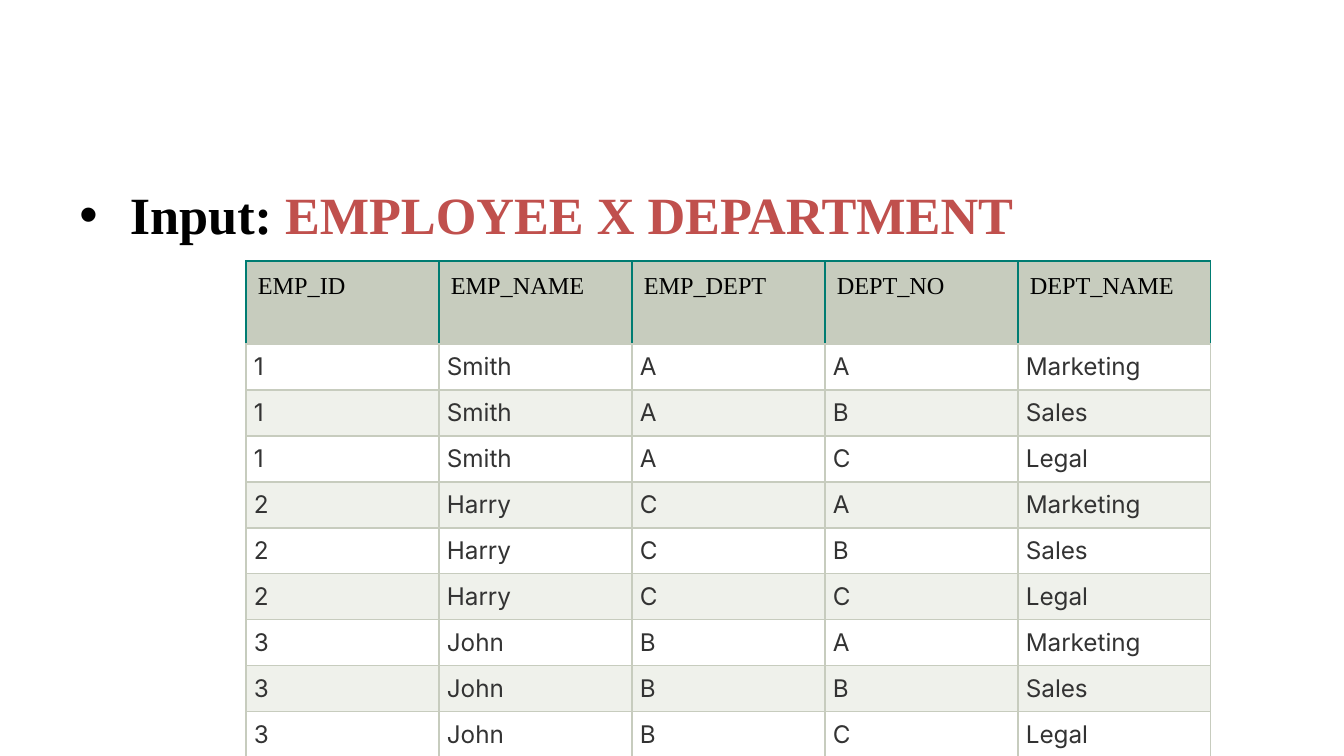
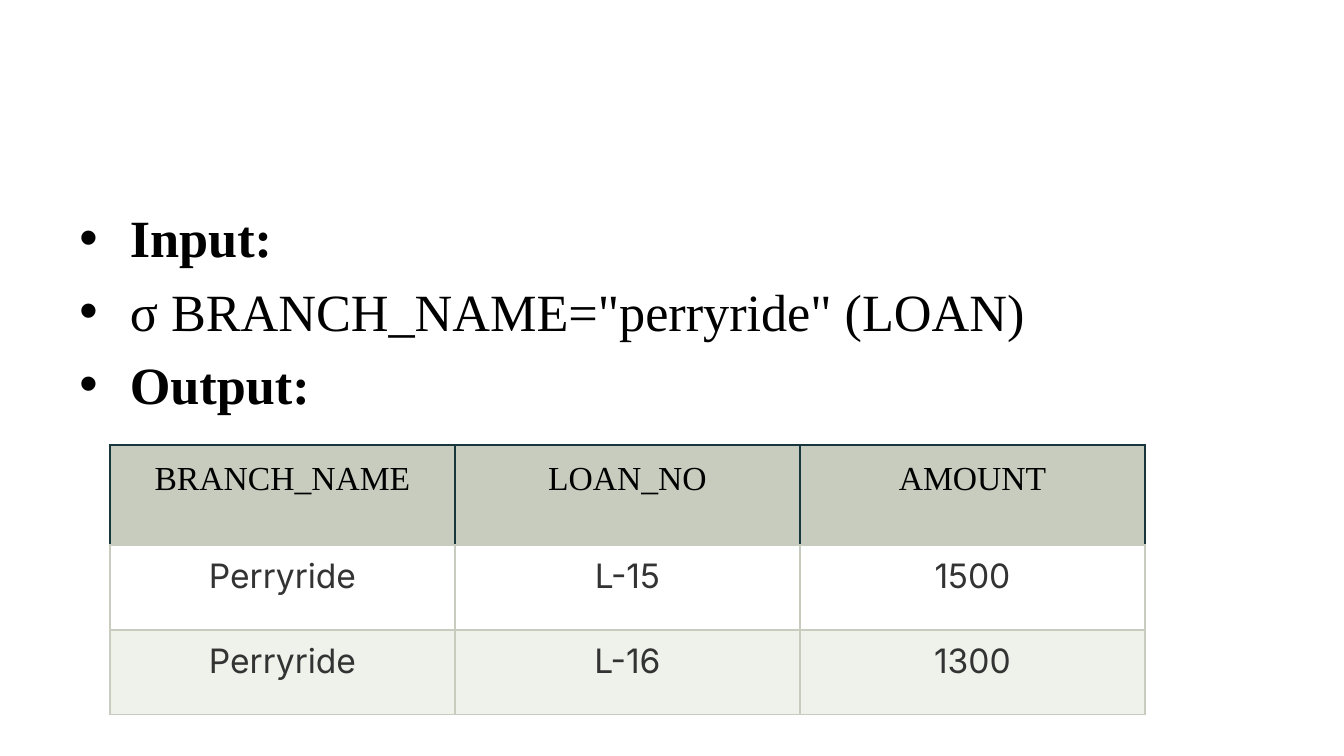
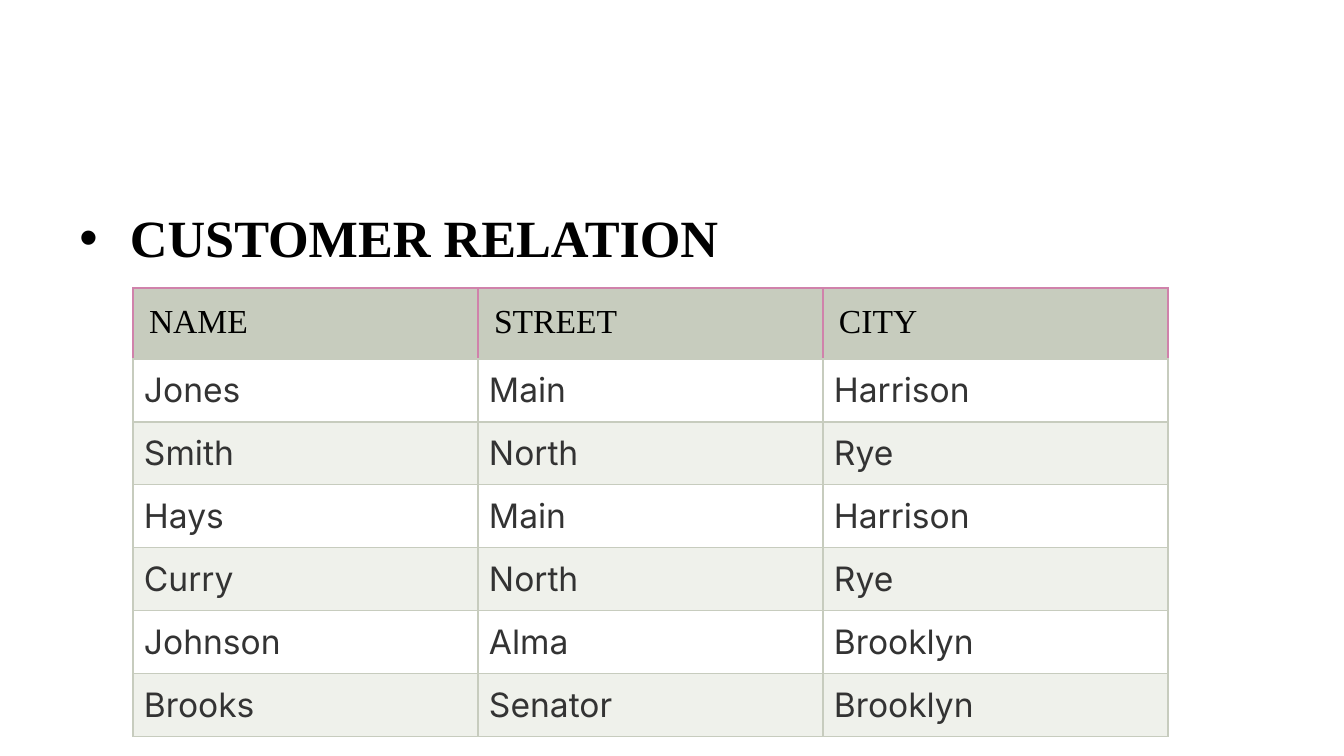
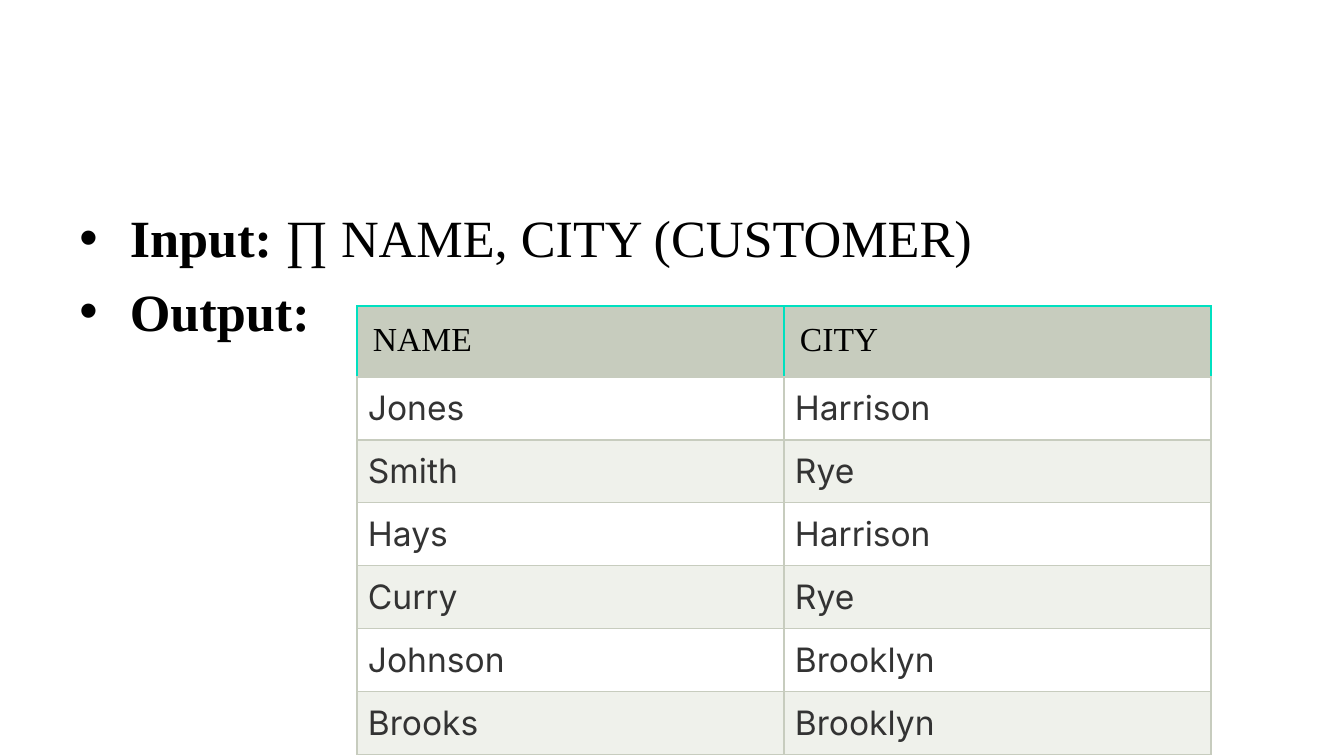
from dataclasses import dataclass

from lxml import etree
from pptx import Presentation
from pptx.dml.color import RGBColor
from pptx.enum.text import MSO_AUTO_SIZE, PP_ALIGN
from pptx.oxml.ns import qn
from pptx.util import Emu, Pt

LEFT, CENTER, JUSTIFY = PP_ALIGN.LEFT, PP_ALIGN.CENTER, PP_ALIGN.JUSTIFY
NO_AUTOFIT = MSO_AUTO_SIZE.NONE


@dataclass(frozen=True)
class Theme:
    serif: str = "Times New Roman"
    sans: str = "Inter"
    black: str = "000000"
    red: str = "C0504D"
    gray: str = "333333"
    sage: str = "C7CCBE"
    bands: tuple = ("FFFFFF", "EFF1EB")
    bullet_size: int = 28
    border: float = 0.75


THEME = Theme()


def px(count):
    """Slide pixels (134.4 to the inch) as EMU."""
    return Emu(round(count * 914400 / 134.4))


def draw_borders(cell, colors):
    """Give the left, right, top and bottom borders their colors."""
    properties = cell._tc.get_or_add_tcPr()
    for side, color in zip("LRTB", colors):
        line = etree.SubElement(properties, qn(f"a:ln{side}"), w=str(Pt(THEME.border)))
        fill = etree.SubElement(line, qn("a:solidFill"))
        etree.SubElement(fill, qn("a:srgbClr"), val=color)


# Bullets are lists of (text, bold, color) spans
SLIDES = [
    {
        "body": (176, 580),
        "bullets": [[("Input: ", True, THEME.black),
                     ("EMPLOYEE X DEPARTMENT", True, THEME.red)]],
        "corner": (246, 261), "column": 193, "heights": (83, 46),
        "insets": (12, 8), "aligns": (LEFT, JUSTIFY),
        "size": 13, "accent": "007C72",
        "rows": [("EMP_ID", "EMP_NAME", "EMP_DEPT", "DEPT_NO", "DEPT_NAME")] + [
            (*employee, *department)
            for employee in [("1", "Smith", "A"), ("2", "Harry", "C"), ("3", "John", "B")]
            for department in [("A", "Marketing"), ("B", "Sales"), ("C", "Legal")]
        ],
    },
    {
        "body": (199, 516),
        "bullets": [[("Input:", True, THEME.black)],
                    [('σ BRANCH_NAME="perryride" (LOAN)', False, THEME.black)],
                    [("Output:", True, THEME.black)]],
        "corner": (110, 445), "column": 345, "heights": (100, 85),
        "insets": (16, 11), "aligns": (CENTER, CENTER),
        "size": 18, "accent": "18373D",
        "rows": [("BRANCH_NAME", "LOAN_NO", "AMOUNT"),
                 ("Perryride", "L-15", "1500"),
                 ("Perryride", "L-16", "1300")],
    },
    {
        "body": (199, 516),
        "bullets": [[("CUSTOMER RELATION", True, THEME.black)]],
        "corner": (133, 288), "column": 345, "heights": (71, 63),
        "insets": (16, 11), "aligns": (LEFT, JUSTIFY),
        "size": 18, "accent": "D082AB",
        "rows": [("NAME", "STREET", "CITY"),
                 ("Jones", "Main", "Harrison"),
                 ("Smith", "North", "Rye"),
                 ("Hays", "Main", "Harrison"),
                 ("Curry", "North", "Rye"),
                 ("Johnson", "Alma", "Brooklyn"),
                 ("Brooks", "Senator", "Brooklyn")],
    },
    {
        "body": (199, 516),
        "bullets": [[("Input: ", True, THEME.black),
                     ("∏ NAME, CITY (CUSTOMER)", False, THEME.black)],
                    [("Output:", True, THEME.black)]],
        "corner": (357, 306), "column": 427, "heights": (71, 63),
        "insets": (16, 11), "aligns": (LEFT, JUSTIFY),
        "size": 18, "accent": "00E0C0",
        "rows": [("NAME", "CITY"),
                 ("Jones", "Harrison"),
                 ("Smith", "Rye"),
                 ("Hays", "Harrison"),
                 ("Curry", "Rye"),
                 ("Johnson", "Brooklyn"),
                 ("Brooks", "Brooklyn")],
    },
]

deck = Presentation()
deck.slide_width, deck.slide_height = px(1344), px(756)

for content in SLIDES:
    page = deck.slides.add_slide(deck.slide_layouts[1])
    title = page.shapes.title.element
    title.getparent().remove(title)

    # Bullet list
    top, height = content["body"]
    body = page.placeholders[1]
    body.left, body.top, body.width, body.height = px(66), px(top), px(1212), px(height)
    frame = body.text_frame
    frame.auto_size = NO_AUTOFIT
    for index, bullet in enumerate(content["bullets"]):
        para = frame.add_paragraph() if index else frame.paragraphs[0]
        if index == 0:
            para.space_before = Pt(0)
        for text, bold, color in bullet:
            span = para.add_run()
            span.text = text
            span.font.name = THEME.serif
            span.font.size = Pt(THEME.bullet_size)
            span.font.bold = bold
            span.font.color.rgb = RGBColor.from_string(color)

    # Table grid
    rows = content["rows"]
    header_height, row_height = content["heights"]
    left, top = content["corner"]
    column_count = len(rows[0])
    table = page.shapes.add_table(
        len(rows), column_count, px(left), px(top),
        px(content["column"] * column_count),
        px(header_height + row_height * (len(rows) - 1))).table
    table.first_row = table.horz_banding = False
    for column in table.columns:
        column.width = px(content["column"])

    # Table cells: a sage header over banded rows
    for row_index, values in enumerate(rows):
        is_header = row_index == 0
        table.rows[row_index].height = px(header_height if is_header else row_height)
        inset = px(content["insets"][0 if is_header else 1])
        edge = content["accent"] if is_header else THEME.sage
        fill = THEME.sage if is_header else THEME.bands[(row_index - 1) % 2]
        for column_index, value in enumerate(values):
            cell = table.cell(row_index, column_index)
            cell.margin_left = cell.margin_right = inset
            cell.margin_top = cell.margin_bottom = inset
            draw_borders(cell, (edge, edge, edge, THEME.sage))
            cell.fill.solid()
            cell.fill.fore_color.rgb = RGBColor.from_string(fill)
            cell.text_frame.text = value
            para = cell.text_frame.paragraphs[0]
            para.alignment = content["aligns"][0 if is_header else 1]
            font = para.runs[0].font
            font.name = THEME.serif if is_header else THEME.sans
            font.size = Pt(content["size"])
            font.color.rgb = RGBColor.from_string(THEME.black if is_header else THEME.gray)

deck.save("out.pptx")
